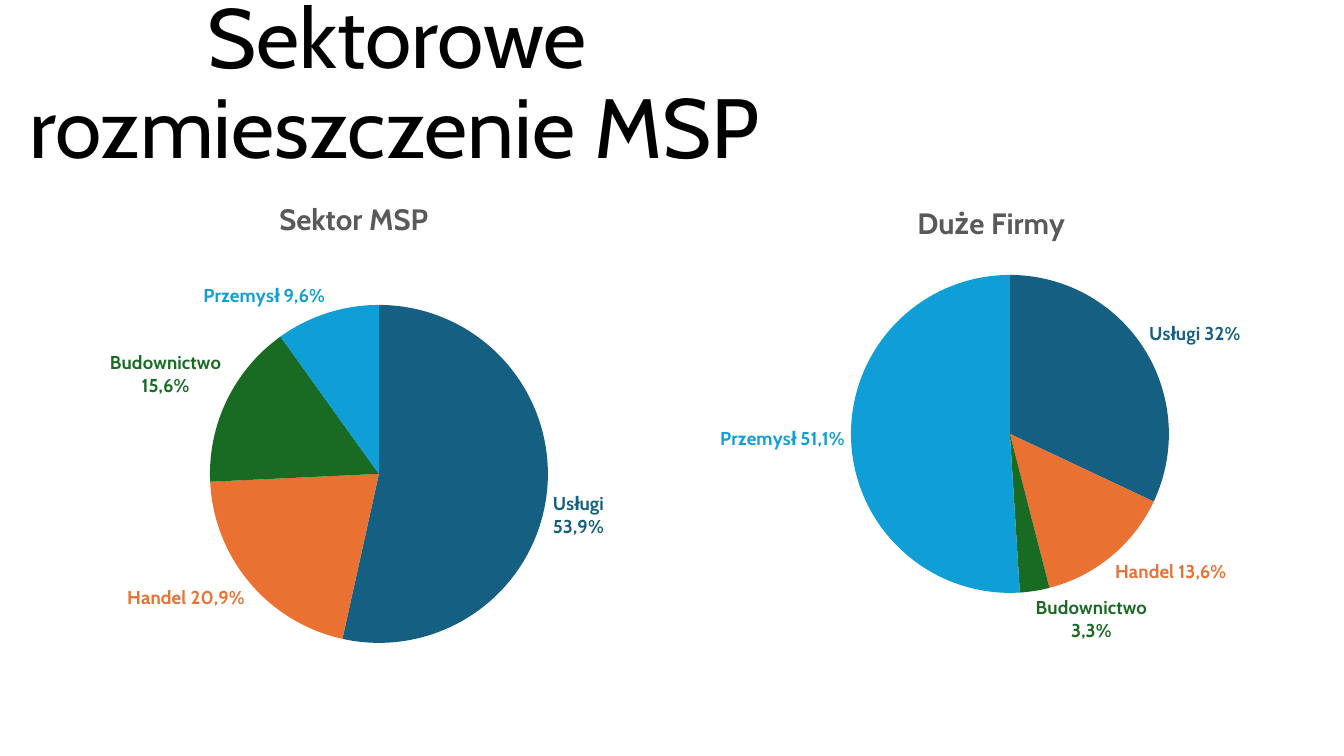
"""Build a slide comparing the sectors of small and large firms in two pie charts."""
from lxml.etree import SubElement
from pptx import Presentation
from pptx.chart.data import CategoryChartData
from pptx.dml.color import RGBColor
from pptx.enum.chart import XL_CHART_TYPE, XL_LABEL_POSITION
from pptx.enum.text import MSO_ANCHOR, PP_ALIGN
from pptx.oxml.ns import qn
from pptx.util import Emu, Pt

PX_PER_INCH = 100.8
FONT = "Cabin"
BLACK = RGBColor(0x00, 0x00, 0x00)
GRAY = RGBColor(0x59, 0x59, 0x59)
NAVY = RGBColor(0x15, 0x60, 0x82)
ORANGE = RGBColor(0xE9, 0x71, 0x32)
GREEN = RGBColor(0x19, 0x6B, 0x24)
BLUE = RGBColor(0x0F, 0x9E, 0xD5)
SECTOR_COLORS = (NAVY, ORANGE, GREEN, BLUE)
CHART_TOP, CHART_WIDTH, CHART_HEIGHT = 182, 637, 475


def px(length):
    return Emu(round(length * 914400 / PX_PER_INCH))


def style_font(font, size, color, bold=False):
    font.name = FONT
    font.size = Pt(size)
    font.bold = bold
    font.color.rgb = color


def add_heading(page, text):
    box = page.shapes.add_textbox(0, 0, px(789), px(182))
    frame = box.text_frame
    frame.word_wrap = True
    frame.vertical_anchor = MSO_ANCHOR.BOTTOM
    para = frame.paragraphs[0]
    para.alignment = PP_ALIGN.CENTER
    para.line_spacing = 0.9
    for words, size in ((" ", 18), (text, 60)):
        span = para.add_run()
        span.text = words
        style_font(span.font, size, BLACK)


def place(parent, index, settings):
    """Give a chart element a manual layout from (name, value) settings."""
    for old in parent.findall(qn("c:layout")):
        parent.remove(old)
    layout = SubElement(parent, qn("c:layout"))
    parent.insert(index, layout)
    manual = SubElement(layout, qn("c:manualLayout"))
    for name, value in settings:
        SubElement(manual, qn(f"c:{name}")).set("val", str(value))


def add_sector_pie(page, left, title, title_at, center, radius, shares):
    data = CategoryChartData(number_format="0")
    data.categories = list(shares)
    data.add_series("Series 1", list(shares.values()))
    chart = page.shapes.add_chart(
        XL_CHART_TYPE.PIE, px(left), px(CHART_TOP), px(CHART_WIDTH), px(CHART_HEIGHT), data
    ).chart
    chart.has_legend = False
    style_font(chart.font, 10, BLACK)

    chart.has_title = True
    para = chart.chart_title.text_frame.paragraphs[0]
    para.text = title
    style_font(para.font, 21, GRAY, bold=True)

    plot = chart.plots[0]
    plot.vary_by_categories = True
    for index, color in enumerate(SECTOR_COLORS):
        point = plot.series[0].points[index]
        point.format.fill.solid()
        point.format.fill.fore_color.rgb = color
        label = point.data_label
        style_font(label.font, 13.3, color, bold=True)
        label.position = XL_LABEL_POSITION.OUTSIDE_END

    root = plot.series[0]._element
    for tag, shown in (("c:showVal", "0"), ("c:showCatName", "1"), ("c:showPercent", "0")):
        for flag in root.iter(qn(tag)):
            flag.set("val", shown)

    def fractions(x, y):
        return (
            ("xMode", "edge"), ("yMode", "edge"),
            ("x", round((x - left) / CHART_WIDTH, 4)),
            ("y", round((y - CHART_TOP) / CHART_HEIGHT, 4)),
        )

    place(chart.chart_title._element, 1, fractions(*title_at))
    pie_size = (
        ("w", round(2 * radius / CHART_WIDTH, 4)),
        ("h", round(2 * radius / CHART_HEIGHT, 4)),
    )
    corner = fractions(center[0] - radius, center[1] - radius)
    place(plot._element.getparent(), 0, (("layoutTarget", "inner"), *corner, *pie_size))


def main():
    deck = Presentation()
    deck.slide_width, deck.slide_height = px(1344), px(756)
    page = deck.slides.add_slide(deck.slide_layouts[6])
    add_heading(page, "Sektorowe rozmieszczenie MSP")
    add_sector_pie(
        page, 35, "Sektor MSP", (274, 193), (379, 474), 169,
        {"Usługi 53,9%": 54, "Handel 20,9%": 21,
         "Budownictwo 15,6%": 16, "Przemysł 9,6%": 10},
    )
    add_sector_pie(
        page, 672, "Duże Firmy", (912, 197), (1010, 434), 159,
        {"Usługi 32%": 32, "Handel 13,6%": 14,
         "Budownictwo 3,3%": 3, "Przemysł 51,1%": 51},
    )
    deck.save("out.pptx")


if __name__ == "__main__":
    main()
